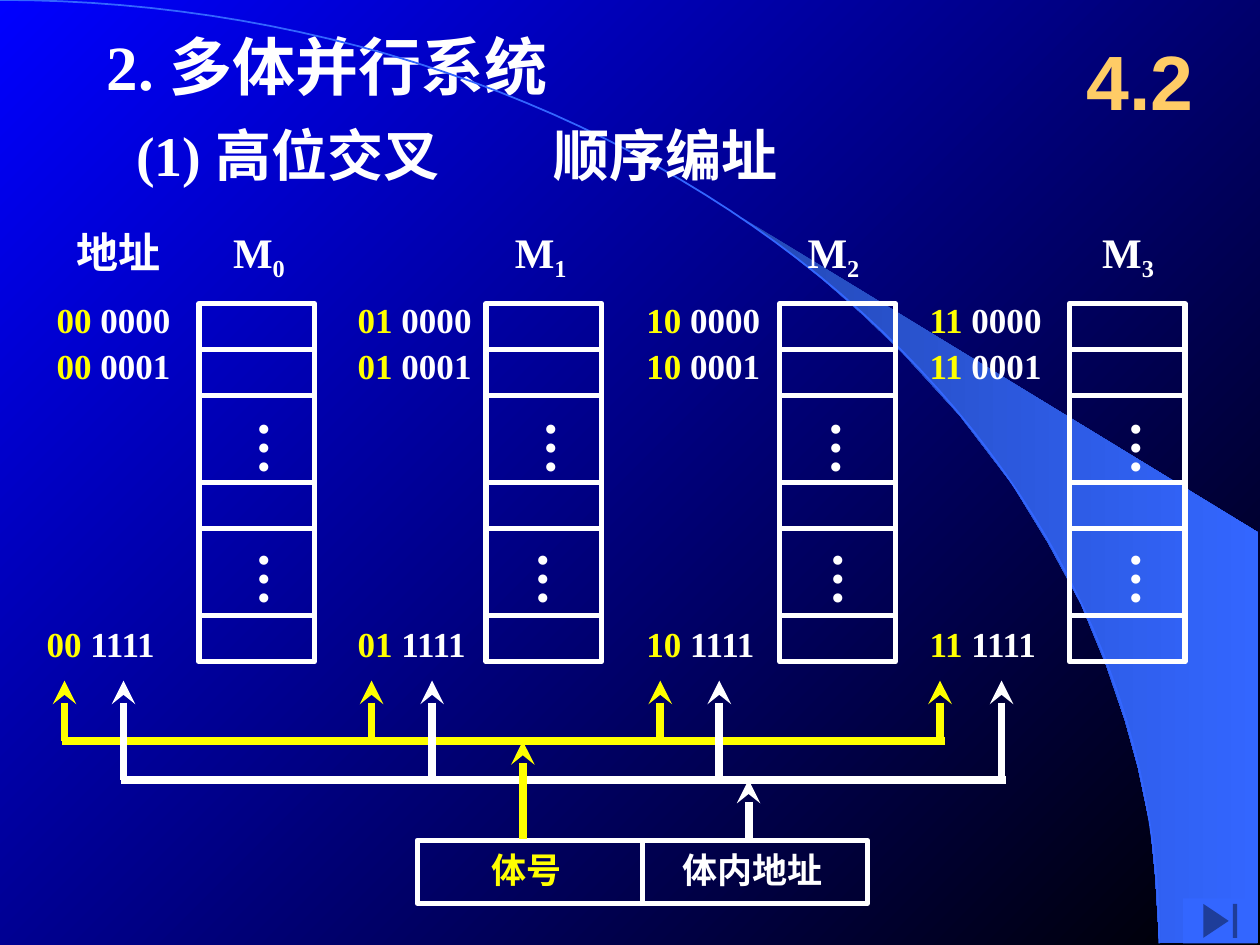
from dataclasses import dataclass
from itertools import accumulate
from math import cos, pi, sin

from lxml.etree import SubElement
from pptx import Presentation
from pptx.dml.color import RGBColor
from pptx.enum.shapes import MSO_CONNECTOR, MSO_SHAPE
from pptx.enum.text import MSO_ANCHOR, MSO_AUTO_SIZE, PP_ALIGN
from pptx.oxml.ns import qn
from pptx.slide import Slide
from pptx.util import Cm, Pt

COLORS = {
    "white": "FFFFFF", "yellow": "FFFF00", "gold": "FFCC66", "blue": "3366FF",
    "deep": "2449B6", "sky": "0000FF", "night": "000000",
}


def rgb(name):
    return RGBColor.from_string(COLORS[name])


@dataclass
class Board:
    slide: Slide
    font: str = "Times New Roman"
    cell_line: float = 3
    wire_line: float = 4.5

    def gradient(self, fill, start, end, angle):
        fill.gradient()
        fill.gradient_angle = angle
        for stop, name in zip(fill.gradient_stops, (start, end)):
            stop.color.rgb = rgb(name)

    def style_run(self, run, size, color, font=None):
        run.font.name = font or self.font
        run.font.size = Pt(size)
        run.font.bold = True
        run.font.color.rgb = rgb(color)

    def heading(self, index, words, left, top, width, height, size):
        holder = self.slide.placeholders[index]
        holder.left, holder.top = Cm(left), Cm(top)
        holder.width, holder.height = Cm(width), Cm(height)
        frame = holder.text_frame
        frame.text = words
        frame.auto_size = MSO_AUTO_SIZE.NONE
        frame.vertical_anchor = MSO_ANCHOR.TOP
        paragraph = frame.paragraphs[0]
        properties = paragraph._p.get_or_add_pPr()
        properties.set("marL", "0")
        properties.set("indent", "0")
        SubElement(properties, qn("a:buNone"))
        paragraph.alignment = PP_ALIGN.LEFT
        paragraph.space_before = Pt(0)
        self.style_run(paragraph.runs[0], size, "white")

    def text(self, parts, left, top, width, height, size, wrap=False, font=None):
        box = self.slide.shapes.add_textbox(Cm(left), Cm(top), Cm(width), Cm(height))
        frame = box.text_frame
        frame.word_wrap = wrap
        for words, color in parts:
            run = frame.paragraphs[0].add_run()
            run.text = words
            self.style_run(run, size, color, font)
        return frame

    def bank_name(self, number, left):
        frame = self.text([("M", "white"), (str(number), "white")], left, 4.45, 1.6, 1.27, 24)
        frame.paragraphs[0].runs[1]._r.get_or_add_rPr().set("baseline", "-20000")

    def dots(self, left, top):
        frame = self.text([("…", "white")], left, top, 1.85, 1.4, 32)
        frame._txBody.bodyPr.set("vert", "eaVert")

    def address(self, bank, offset, left, top):
        self.text([(bank, "yellow"), (f" {offset}", "white")], left, top, 2.92, 1.09, 20, wrap=True)

    def cell(self, left, top, width, height):
        box = self.slide.shapes.add_shape(
            MSO_SHAPE.RECTANGLE, Cm(left), Cm(top), Cm(width), Cm(height))
        box.shadow.inherit = False
        box.fill.background()
        box.line.color.rgb = rgb("white")
        box.line.width = Pt(self.cell_line)

    def wire(self, x1, y1, x2, y2, color, arrow=False):
        wire = self.slide.shapes.add_connector(
            MSO_CONNECTOR.STRAIGHT, Cm(x1), Cm(y1), Cm(x2), Cm(y2))
        wire.line.color.rgb = rgb(color)
        wire.line.width = Pt(self.wire_line)
        if arrow:
            SubElement(wire.line._get_or_add_ln(), qn("a:headEnd"), type="stealth")
        SubElement(wire._element.spPr, qn("a:effectLst"))

    def outline(self, points, close):
        start, *rest = [(Cm(x), Cm(y)) for x, y in points]
        builder = self.slide.shapes.build_freeform(*start)
        builder.add_line_segments(rest, close=close)
        shape = builder.convert_to_shape()
        shape.shadow.inherit = False
        return shape

    def backdrop(self):
        self.gradient(self.slide.background.fill, "sky", "night", 315)
        beam = self.outline([
            (23.37, 19), (25.37, 19.02), (25.37, 10.74), (14.96, 4.39), (15.85, 5.05),
            (16.59, 5.64), (17.4, 6.35), (18.19, 7.11), (19.35, 8.38), (20.4, 9.75),
            (21.13, 10.95), (21.79, 12.17), (22.3, 13.41), (22.68, 14.53),
            (22.94, 15.47), (23.19, 16.66), (23.29, 17.68),
        ], close=True)
        self.gradient(beam.fill, "deep", "blue", 0)
        beam.line.fill.background()
        steps = 60
        angles = [pi / 2 * step / steps for step in range(steps + 1)]
        arc = self.outline([(23.37 * sin(a), 19.02 * (1 - cos(a))) for a in angles], close=False)
        arc.fill.background()
        arc.line.color.rgb = rgb("blue")
        arc.line.width = Pt(1)

    def end_button(self):
        button = self.slide.shapes.add_shape(
            MSO_SHAPE.ACTION_BUTTON_END, Cm(23.85), Cm(18.11), Cm(1.5), Cm(0.91))
        button.shadow.inherit = False
        button.fill.solid()
        button.fill.fore_color.rgb = rgb("blue")
        button.line.fill.background()


def main():
    deck = Presentation()
    deck.slide_width, deck.slide_height = Cm(25.4), Cm(19.05)
    board = Board(deck.slides.add_slide(deck.slide_layouts[1]))
    board.backdrop()

    board.heading(0, "2. 多体并行系统", 1.9, 0.43, 10.16, 1.78, 36)
    board.heading(1, "(1) 高位交叉", 2.49, 2.31, 15.01, 1.6, 32)
    board.text([("顺序编址", "white")], 10.9, 2.31, 14.4, 1.6, 32, wrap=True)
    section = board.text([("4.2", "gold")], 21.39, 0.43, 3.18, 2.34, 44, wrap=True, font="Arial")
    section.vertical_anchor = MSO_ANCHOR.MIDDLE
    section.paragraphs[0].alignment = PP_ALIGN.CENTER
    board.text([("地址", "white")], 1.3, 4.45, 2.21, 1.27, 24)

    bank_bus, offset_bus = 14.94, 15.72
    board.wire(1.24, bank_bus, 19.05, bank_bus, "yellow")
    board.wire(2.44, offset_bus, 20.27, offset_bus, "white")

    heights = [0.93, 0.93, 1.75, 0.93, 1.75, 0.93]
    tops = list(accumulate(heights[:-1], initial=6.12))
    banks = [
        (4.01, 4.45, 4.65, 4.65, 0.89, 0.69, 1.3, 2.49),
        (9.8, 10.13, 10.44, 10.29, 6.96, 6.96, 7.49, 8.71),
        (15.72, 16.03, 16.18, 16.23, 12.78, 12.78, 13.31, 14.5),
        (21.56, 21.97, 22.23, 22.23, 18.49, 18.49, 18.95, 20.19),
    ]
    for number, bank in enumerate(banks):
        cells, name, upper_dots, lower_dots, first, last, bank_tap, offset_tap = bank
        board.bank_name(number, name)
        for top, height in zip(tops, heights):
            board.cell(cells, top, 2.33, height)
        board.dots(upper_dots, 8.23)
        board.dots(lower_dots, 10.87)
        prefix = f"{number:02b}"
        for offset, left, top in (("0000", first, 5.89), ("0001", first, 6.83), ("1111", last, 12.42)):
            board.address(prefix, offset, left, top)
        board.wire(bank_tap, 13.72, bank_tap, bank_bus, "yellow", arrow=True)
        board.wire(offset_tap, 13.72, offset_tap, offset_bus, "white", arrow=True)

    fields = [
        ("体号", "yellow", 8.41, 9.65, 1.93, 10.54, bank_bus),
        ("体内地址", "white", 12.95, 13.51, 3.33, 15.09, offset_bus),
    ]
    for words, color, left, text_left, text_width, feed, bus in fields:
        board.cell(left, 16.94, 4.54, 1.27)
        board.text([(words, color)], text_left, 16.99, text_width, 1.09, 20)
        board.wire(feed, bus, feed, 16.92, color, arrow=True)

    board.end_button()
    deck.save("out.pptx")


if __name__ == "__main__":
    main()
